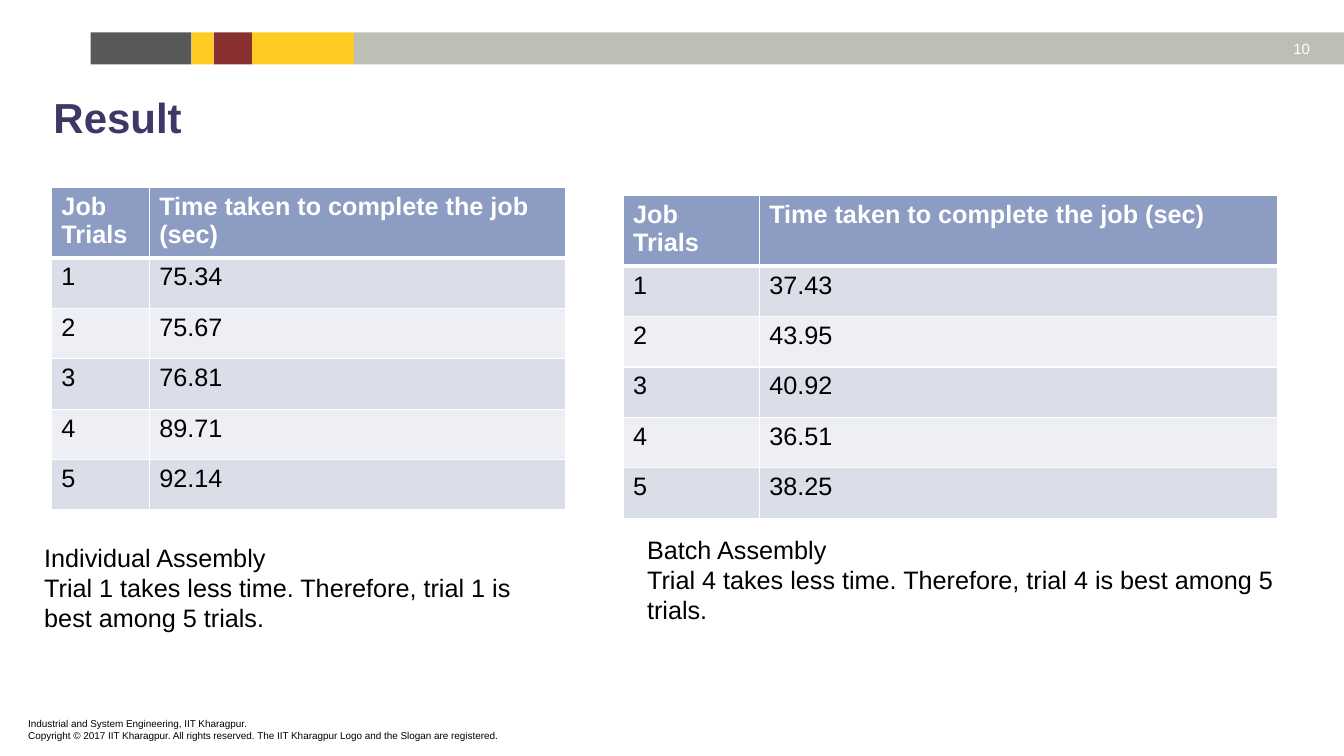
import pptx
import pptx.enum.shapes
import pptx.enum.text
import pptx.oxml
import pptx.util
from pptx.dml.color import RGBColor
from pptx.oxml.ns import qn
from pptx.util import Inches

ANCHOR = pptx.enum.text.MSO_ANCHOR
ALIGN = pptx.enum.text.PP_ALIGN

COLORS = {
    "stone": "BDBFB5", "charcoal": "595959", "yellow": "FFCA21", "maroon": "883030",
    "title": "3E3866", "header": "8C9CC3", "odd": "DADEE9", "even": "EEEFF5",
    "white": "FFFFFF", "black": "000000",
}
BAND = [("charcoal", 0.9, 1.0), ("yellow", 1.9, 0.22), ("maroon", 2.12, 0.38),
        ("yellow", 2.5, 1.01), ("stone", 3.51, 9.83)]
HEADINGS = ("Job Trials", "Time taken to complete the job (sec)")
ROW_HEIGHT = 0.5

INDIVIDUAL_TIMES = (75.34, 75.67, 76.81, 89.71, 92.14)
BATCH_TIMES = (37.43, 43.95, 40.92, 36.51, 38.25)


def color(name):
    return RGBColor.from_string(COLORS[name])


def write(frame, lines, size, ink, bold=False, align=ALIGN.LEFT, **settings):
    """Fill a text frame with one paragraph per line; settings go to the frame."""
    for name, value in settings.items():
        setattr(frame, name, value)
    frame.text = "\n".join(lines)
    for para in frame.paragraphs:
        para.alignment = align
        for span in para.runs:
            values = {"name": "Arial", "size": pptx.util.Pt(size), "bold": bold}
            for name, value in values.items():
                setattr(span.font, name, value)
            span.font.color.rgb = color(ink)


def add_text(page, box, lines, size, ink, **settings):
    frame = page.shapes.add_textbox(*map(Inches, box)).text_frame
    write(frame, lines, size, ink, **{"word_wrap": True, **settings})


def add_band(page, top, height):
    for fill, left, width in BAND:
        block = page.shapes.add_shape(
            pptx.enum.shapes.MSO_SHAPE.RECTANGLE, *map(Inches, (left, top, width, height)))
        block.shadow.inherit = False
        block.fill.solid()
        block.fill.fore_color.rgb = color(fill)
        block.line.fill.background()
    add_text(page, (12.41, top, 0.68, height), ["10"], 10.6, "white",
             align=ALIGN.RIGHT, vertical_anchor=ANCHOR.MIDDLE)


def add_title(page, box):
    title = page.shapes.title
    for name, value in zip(("left", "top", "width", "height"), box):
        setattr(title, name, Inches(value))
    write(title.text_frame, ["Result"], 30, "title", bold=True,
          vertical_anchor=ANCHOR.TOP, word_wrap=True,
          auto_size=pptx.enum.text.MSO_AUTO_SIZE.NONE,
          margin_left=Inches(0.11), margin_top=Inches(0.06))


def set_borders(cell, widths):
    """Draw white cell edges; widths maps L, R, T and B to points."""
    properties = cell._tc.get_or_add_tcPr()
    for side, width in widths.items():
        edge = pptx.oxml.xmlchemy.OxmlElement(f"a:ln{side}")
        edge.set("w", str(pptx.util.Pt(width)))
        fill = edge.makeelement(qn("a:solidFill"))
        fill.append(edge.makeelement(qn("a:srgbClr"), {"val": COLORS["white"]}))
        edge.append(fill)
        properties.append(edge)


def add_times_table(page, left, top, column_widths, times):
    rows = [HEADINGS] + [(str(trial), f"{time:.2f}") for trial, time in enumerate(times, 1)]
    box = (left, top, sum(column_widths), ROW_HEIGHT * len(rows))
    table = page.shapes.add_table(len(rows), len(HEADINGS), *map(Inches, box)).table
    for column, width in zip(table.columns, column_widths):
        column.width = Inches(width)
    for row, values in enumerate(rows):
        header = row == 0
        fill = "header" if header else "odd" if row % 2 else "even"
        for column, value in enumerate(values):
            cell = table.cell(row, column)
            set_borders(cell, {"L": 1, "R": 1, "T": 3 if row == 1 else 1, "B": 3 if header else 1})
            cell.fill.solid()
            cell.fill.fore_color.rgb = color(fill)
            write(cell.text_frame, [value], 18, "white" if header else "black", bold=header)


def add_caption(page, box, heading, best):
    finding = f"Trial {best} takes less time. Therefore, trial {best} is best among 5 trials."
    add_text(page, box, [heading, finding], 18, "black")


def add_footer(page, box):
    lines = ["Industrial and System Engineering, IIT Kharagpur.",
             "Copyright © 2017 IIT Kharagpur. All rights reserved. "
             "The IIT Kharagpur Logo and the Slogan are registered."]
    add_text(page, box, lines, 7.1, "black", word_wrap=False,
             margin_left=0, margin_top=0, margin_right=0, margin_bottom=0)


def main():
    deck = pptx.Presentation()
    deck.slide_width, deck.slide_height = Inches(13.33), Inches(7.5)
    page = deck.slides.add_slide(deck.slide_layouts.get_by_name("Title Only"))
    add_band(page, 0.32, 0.32)
    add_footer(page, (0.28, 7.12, 4.71, 0.37))
    add_title(page, (0.42, 0.85, 12.81, 0.61))
    add_times_table(page, 0.51, 1.86, (0.97, 4.13), INDIVIDUAL_TIMES)
    add_times_table(page, 6.18, 1.94, (1.35, 5.14), BATCH_TIMES)
    add_caption(page, (0.34, 5.33, 5.35, 1.01), "Individual Assembly", 1)
    add_caption(page, (6.32, 5.25, 6.57, 1.04), "Batch Assembly", 4)
    deck.save("out.pptx")


if __name__ == "__main__":
    main()
